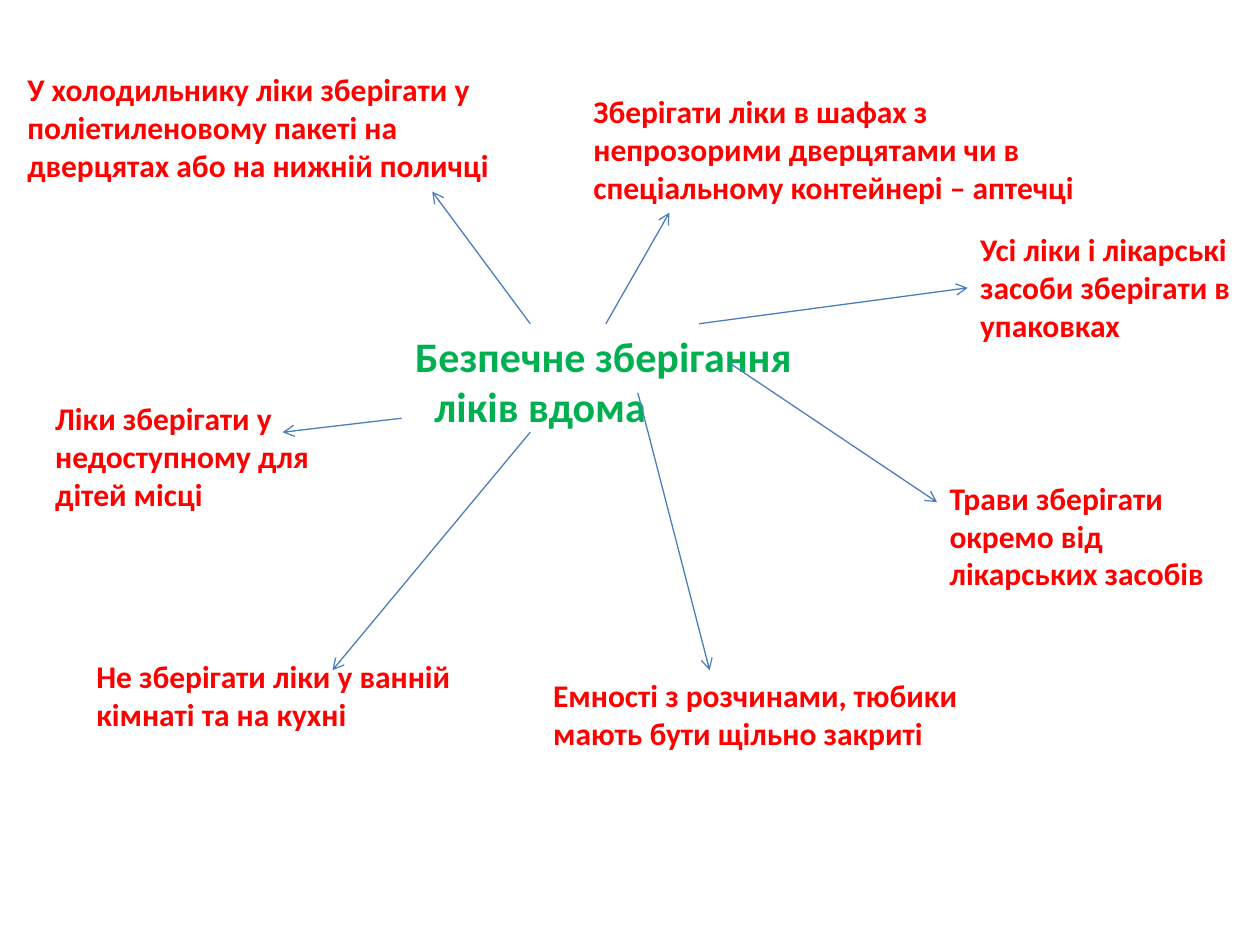
from lxml.etree import SubElement
from pptx import Presentation
from pptx.dml.color import RGBColor
from pptx.enum.shapes import MSO_CONNECTOR as CONN
from pptx.enum.text import MSO_ANCHOR as ANCHOR, MSO_AUTO_SIZE as AUTO, PP_ALIGN as ALIGN
from pptx.oxml.ns import qn
from pptx.util import Pt

COLORS = {"title": "00B050", "label": "FF0000", "arrow": "4B7EBC"}
FORMATS = {
    "title": {"name": "Calibri", "size": Pt(24), "bold": True},
    "label": {"name": "Calibri", "size": Pt(18), "bold": True},
}
FRAME = {"word_wrap": True, "auto_size": AUTO.NONE, "vertical_anchor": ANCHOR.TOP}
HANGING = 11

TITLE = ("Безпечне зберігання ліків вдома", (230, 185, 232.5, 65.5))
LABELS = {
    "packages": ("Усі ліки і лікарські засоби зберігати в упаковках", (553, 128, 158.5, 73)),
    "herbs": ("Трави зберігати окремо від лікарських засобів", (535.5, 270, 176, 73)),
    "bottles": ("Емності з розчинами, тюбики мають бути щільно закриті", (309, 383, 260.5, 51)),
    "bathroom": ("Не зберігати ліки у ванній кімнаті та на кухні", (48, 372, 227, 51)),
    "children": ("Ліки зберігати у недоступному для дітей місці", (24.5, 224.5, 165.5, 73)),
    "fridge": ("У холодильнику ліки зберігати у поліетиленовому пакеті на дверцятах або на нижній поличці",
               (8.5, 36.5, 300, 73)),
    "cabinet": ("Зберігати ліки в шафах з непрозорими дверцятами чи в спеціальному контейнері – аптечці",
                (332, 49, 292.5, 73)),
}
ARROWS = {
    "cabinet": (346, 185, 382.5, 121.5),
    "packages": (399.5, 185, 553, 164.5),
    "herbs": (417, 207.5, 535.5, 287),
    "bottles": (364.5, 224.5, 405.5, 383),
    "bathroom": (303, 247, 190, 383),
    "children": (229.5, 239, 161.5, 247),
    "fridge": (303, 185, 247, 109.5),
}


def write(s, text, kind):
    """Fill a shape with one formatted left-aligned paragraph."""
    tf = s.text_frame
    for key, value in FRAME.items():
        setattr(tf, key, value)
    p = tf.paragraphs[0]
    p.alignment = ALIGN.LEFT
    r = p.add_run()
    r.text = text
    for key, value in FORMATS[kind].items():
        setattr(r.font, key, value)
    r.font.color.rgb = RGBColor.from_string(COLORS[kind])
    return p


def add_arrow(slide, ends):
    """Draw a thin line with an open arrowhead at its end."""
    c = slide.shapes.add_connector(CONN.STRAIGHT, *map(Pt, ends))
    c.line.color.rgb = RGBColor.from_string(COLORS["arrow"])
    c.line.width = Pt(0.75)
    SubElement(c.line._get_or_add_ln(), qn("a:tailEnd"), type="arrow")
    SubElement(c._element.spPr, qn("a:effectLst"))
    return c


def main():
    """Build the mind map of safe medicine storage."""
    prs = Presentation()
    prs.slide_width, prs.slide_height = Pt(720), Pt(540)
    slide = prs.slides.add_slide(prs.slide_layouts[5])

    text, box = TITLE
    title = slide.shapes.title
    title.left, title.top, title.width, title.height = map(Pt, box)
    pPr = write(title, text, "title")._p.get_or_add_pPr()
    pPr.set("marL", str(Pt(HANGING)))
    pPr.set("indent", str(-Pt(HANGING)))

    labels = {}
    for name, (text, box) in LABELS.items():
        labels[name] = slide.shapes.add_textbox(*map(Pt, box))
        write(labels[name], text, "label")

    arrows = {name: add_arrow(slide, ends) for name, ends in ARROWS.items()}
    arrows["cabinet"].begin_connect(title, 0)
    arrows["packages"].end_connect(labels["packages"], 1)
    prs.save("out.pptx")


if __name__ == "__main__":
    main()
